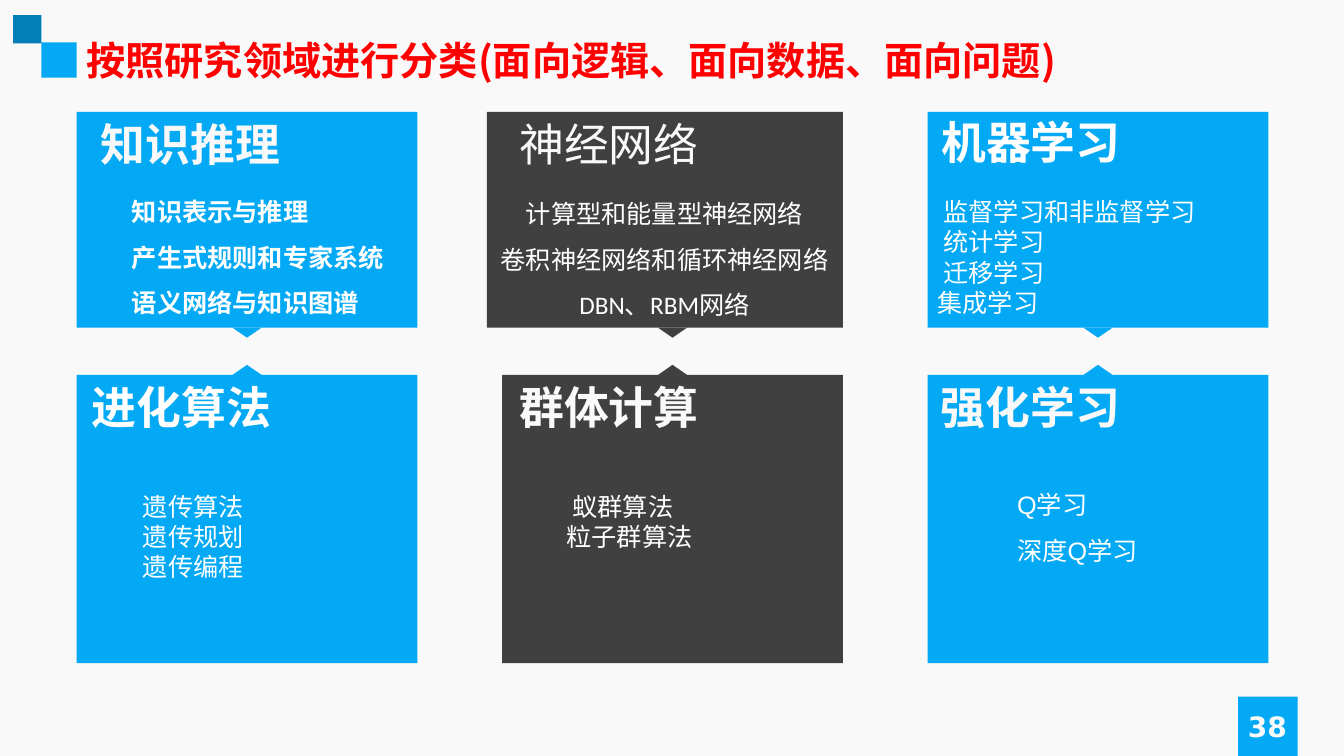
from dataclasses import dataclass

from pptx import Presentation
from pptx.dml.color import RGBColor
from pptx.enum.shapes import MSO_SHAPE
from pptx.enum.text import MSO_ANCHOR, PP_ALIGN
from pptx.util import Inches, Pt

RECTANGLE = MSO_SHAPE.RECTANGLE
TRIANGLE = MSO_SHAPE.ISOSCELES_TRIANGLE
LEFT, CENTER = PP_ALIGN.LEFT, PP_ALIGN.CENTER
TOP, MIDDLE = MSO_ANCHOR.TOP, MSO_ANCHOR.MIDDLE

BLUE = RGBColor(0x03, 0xA9, 0xF4)
DARK_BLUE = RGBColor(0x02, 0x7F, 0xB7)
CHARCOAL = RGBColor(0x40, 0x40, 0x40)
RED = RGBColor(0xFF, 0x00, 0x00)
WHITE = RGBColor(0xFF, 0xFF, 0xFF)
OFF_WHITE = RGBColor(0xF9, 0xF9, 0xF9)

NOTO, ARIAL, CALIBRI = "Noto Sans CJK SC", "Arial", "Calibri"
COLUMN_LEFTS = (0.76, 4.98, 9.2)
COLUMN_COLORS = (BLUE, CHARCOAL, BLUE)
CARD_WIDTH = 3.38
POINTER_WIDTH, POINTER_HEIGHT = 0.29, 0.1
UPPER_TOP, UPPER_HEIGHT = 1.11, 2.14
LOWER_TOP, LOWER_HEIGHT = 3.72, 2.86


@dataclass(frozen=True)
class Box:
    left: float
    top: float
    width: float
    height: float


@dataclass(frozen=True)
class Text:
    box: Box
    lines: tuple[str, ...]
    size: float = 18
    font: str = CALIBRI
    color: RGBColor = WHITE
    bold: bool = False
    align: PP_ALIGN = LEFT
    spacing: float = 1.0
    anchor: MSO_ANCHOR = TOP
    indented: tuple[int, ...] = ()


@dataclass(frozen=True)
class Field:
    column: int
    upper: bool
    heading: Text
    body: Text
    extra_left: float = 0


def heading(box: Box, title: str, font: str, color: RGBColor, bold: bool = True) -> Text:
    return Text(box, (title,), 32, font, color, bold, CENTER)


FIELDS = (
    Field(0, False,
          heading(Box(0.76, 3.72, 2.08, 0.64), "进化算法", ARIAL, WHITE),
          Text(Box(1.32, 4.82, 1.83, 1.01), ("遗传算法", "遗传规划", "遗传编程"))),
    Field(0, True,
          heading(Box(0.76, 1.11, 2.26, 0.64), "知识推理", NOTO, OFF_WHITE),
          Text(Box(1.21, 1.75, 2.78, 1.46),
               ("知识表示与推理", "产生式规则和专家系统", "语义网络与知识图谱"),
               font=ARIAL, bold=True, spacing=1.5)),
    Field(1, False,
          heading(Box(4.98, 3.72, 2.12, 0.64), "群体计算", NOTO, OFF_WHITE),
          Text(Box(5.52, 4.82, 2.29, 0.71), ("蚁群算法", "粒子群算法"), indented=(0,))),
    Field(1, True,
          heading(Box(4.98, 1.11, 2.12, 0.64), "神经网络", ARIAL, OFF_WHITE, False),
          Text(Box(4.83, 1.77, 3.52, 1.46),
               ("计算型和能量型神经网络", "卷积神经网络和循环神经网络", "DBN、RBM网络"),
               align=CENTER, spacing=1.5),
          extra_left=0.15),
    Field(2, False,
          heading(Box(9.2, 3.72, 2.04, 0.64), "强化学习", NOTO, OFF_WHITE),
          Text(Box(9.99, 4.66, 2.05, 1.01), ("Q学习", "深度Q学习"),
               font=ARIAL, spacing=1.5)),
    Field(2, True,
          heading(Box(9.2, 1.09, 2.05, 0.64), "机器学习", ARIAL, WHITE),
          Text(Box(9.2, 1.9, 3.37, 1.31),
               ("监督学习和非监督学习", "统计学习", "迁移学习", "集成学习"),
               indented=(0, 1, 2))),
)

CORNER_BLOCKS = (
    (Box(0.41, 0.42, 0.35, 0.35), BLUE),
    (Box(0.13, 0.15, 0.28, 0.28), DARK_BLUE),
    (Box(12.28, 6.91, 0.59, 0.59), BLUE),
)
LABELS = (
    Text(Box(0.76, 0.31, 11.81, 0.57),
         ("按照研究领域进行分类(面向逻辑、面向数据、面向问题)",), 28, NOTO, RED, True),
    Text(Box(11.81, 7.01, 1.52, 0.4), ("38",), 20, "DejaVu Sans", OFF_WHITE, True,
         CENTER, anchor=MIDDLE),
)


def add_block(slide, kind: MSO_SHAPE, box: Box, color: RGBColor, rotation: float = 0) -> None:
    block = slide.shapes.add_shape(
        kind, Inches(box.left), Inches(box.top), Inches(box.width), Inches(box.height))
    block.shadow.inherit = False
    block.fill.solid()
    block.fill.fore_color.rgb = color
    block.line.fill.background()
    block.rotation = rotation


def add_text(slide, text: Text) -> None:
    box = text.box
    frame = slide.shapes.add_textbox(
        Inches(box.left), Inches(box.top), Inches(box.width), Inches(box.height)).text_frame
    frame.word_wrap = True
    frame.vertical_anchor = text.anchor
    frame.text = "\n".join(text.lines)
    for index, paragraph in enumerate(frame.paragraphs):
        paragraph.alignment = text.align
        paragraph.line_spacing = text.spacing
        font = paragraph.font
        font.size = Pt(text.size)
        font.name = text.font
        font.bold = text.bold
        font.color.rgb = text.color
        properties = paragraph._p.get_or_add_pPr()
        if index in text.indented:
            properties.set("marL", str(Inches(0.06)))
        for run in paragraph.runs:
            run_properties = run._r.get_or_add_rPr()
            run_properties.set("lang", "zh-CN")


def add_field(slide, field: Field) -> None:
    left = COLUMN_LEFTS[field.column]
    color = COLUMN_COLORS[field.column]
    top, height = (UPPER_TOP, UPPER_HEIGHT) if field.upper else (LOWER_TOP, LOWER_HEIGHT)
    card = Box(left - field.extra_left, top, CARD_WIDTH + field.extra_left, height)
    pointer_top = top + height if field.upper else top - POINTER_HEIGHT
    pointer = Box(left + (CARD_WIDTH - POINTER_WIDTH) / 2, pointer_top,
                  POINTER_WIDTH, POINTER_HEIGHT)
    add_block(slide, RECTANGLE, card, color)
    add_block(slide, TRIANGLE, pointer, color, 180 if field.upper else 0)
    add_text(slide, field.heading)
    add_text(slide, field.body)


def main() -> None:
    presentation = Presentation()
    presentation.slide_width = Inches(13.33)
    presentation.slide_height = Inches(7.5)
    slide = presentation.slides.add_slide(presentation.slide_layouts[6])
    slide.background.fill.solid()
    slide.background.fill.fore_color.rgb = OFF_WHITE
    for box, color in CORNER_BLOCKS:
        add_block(slide, RECTANGLE, box, color)
    for label in LABELS:
        add_text(slide, label)
    for field in FIELDS:
        add_field(slide, field)
    presentation.save("out.pptx")


if __name__ == "__main__":
    main()
